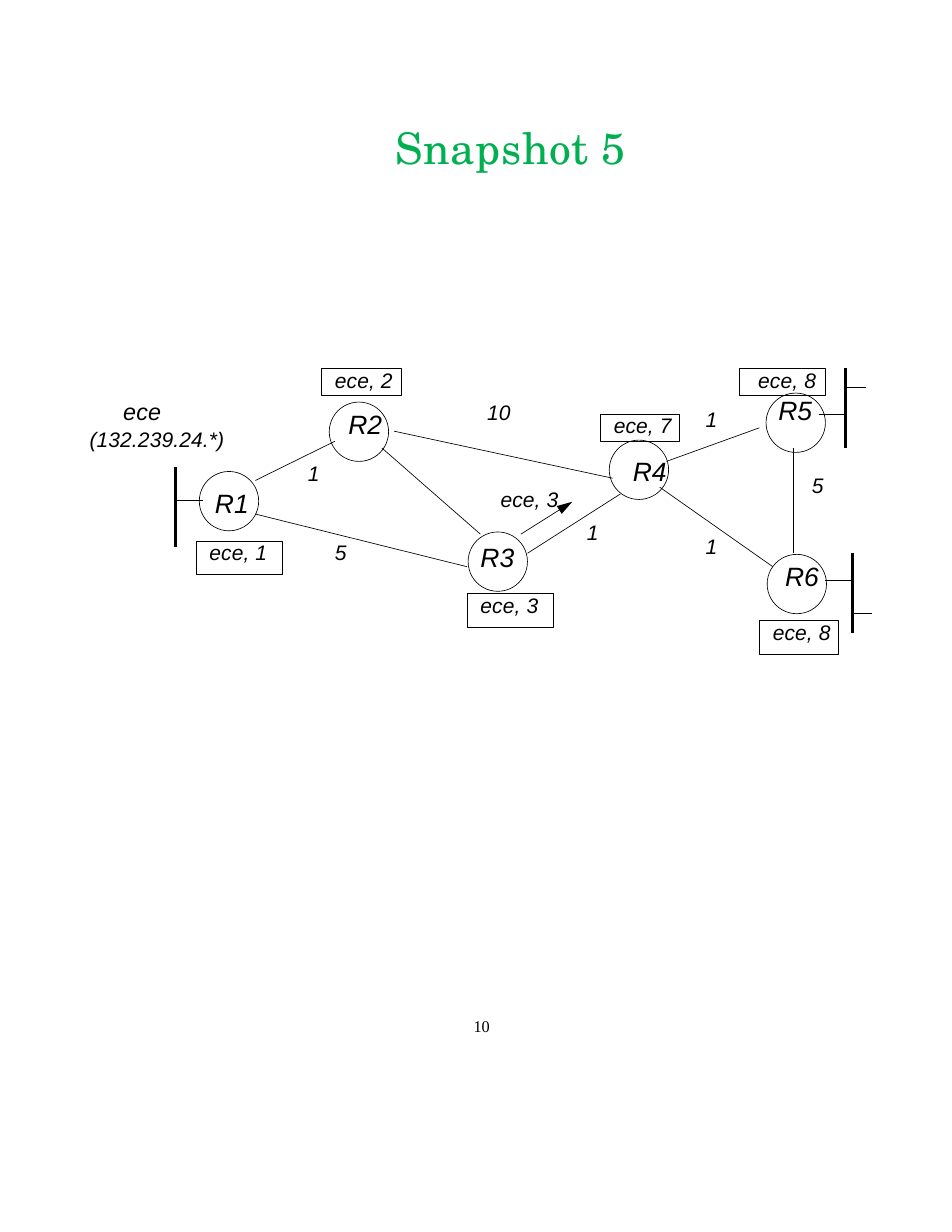
"""Build a slide showing the fifth snapshot of route distribution among six routers."""
from dataclasses import dataclass

from lxml import etree
from pptx import Presentation
from pptx import util as u
from pptx.dml.color import RGBColor
from pptx.enum import shapes, text
from pptx.oxml import ns

BLACK = RGBColor(0x00, 0x00, 0x00)
GREEN = RGBColor(0x00, 0xB0, 0x50)
THIN, THICK = 0.43, 1.71
DIAMETER = 0.53


@dataclass(frozen=True)
class Style:
    size: float
    font: str = "Arial"
    color: RGBColor = BLACK
    italic: bool = True
    spacing: float = 0


@dataclass(frozen=True)
class Router:
    name: str
    left: float
    top: float
    name_left: float
    name_top: float


@dataclass(frozen=True)
class Route:
    entry: str
    left: float
    top: float
    width: float
    height: float
    indent: float = 0.12


@dataclass(frozen=True)
class Line:
    x1: float
    y1: float
    x2: float
    y2: float
    weight: float = THIN
    arrow: bool = False


@dataclass(frozen=True)
class Label:
    words: str
    left: float
    top: float
    width: float
    height: float = 0.24


NAME = Style(17)
VALUE = Style(13.5, spacing=0.1)
NETWORK = Style(15, spacing=0.1)
TITLE = Style(28, "TeX Gyre Schola", GREEN, False, 0.5)
PAGE = Style(10.5, "Times New Roman", italic=False, spacing=-0.1)

ROUTERS = [
    Router("R1", 1.78, 4.21, 1.91, 4.35),
    Router("R2", 2.94, 3.59, 3.10, 3.64),
    Router("R3", 4.18, 4.75, 4.28, 4.83),
    Router("R4", 5.44, 3.93, 5.64, 4.06),
    Router("R5", 6.84, 3.51, 6.94, 3.52),
    Router("R6", 6.85, 4.95, 7.00, 5.00),
]
ROUTES = [
    Route("ece, 1", 1.75, 4.83, 0.77, 0.30),
    Route("ece, 2", 2.87, 3.29, 0.71, 0.24),
    Route("ece, 3", 4.17, 5.30, 0.77, 0.30),
    Route("ece, 7", 5.36, 3.70, 0.71, 0.24),
    Route("ece, 8", 6.60, 3.29, 0.77, 0.24, 0.17),
    Route("ece, 8", 6.78, 5.54, 0.71, 0.30),
]
LINKS = [
    Line(2.28, 4.29, 2.99, 3.94),
    Line(2.28, 4.59, 4.17, 5.06),
    Line(3.41, 4.00, 4.29, 4.77),
    Line(3.52, 3.85, 5.47, 4.27),
    Line(4.71, 4.94, 5.54, 4.41),
    Line(5.95, 4.12, 6.78, 3.82),
    Line(5.89, 4.35, 6.90, 5.06),
    Line(7.08, 4.00, 7.08, 4.94),
]
LANS = [
    Line(1.57, 4.17, 1.57, 4.88, THICK),
    Line(1.57, 4.47, 1.81, 4.47),
    Line(7.55, 3.29, 7.55, 4.00, THICK),
    Line(7.31, 3.70, 7.55, 3.70),
    Line(7.55, 3.46, 7.73, 3.46),
    Line(7.61, 4.94, 7.61, 5.65, THICK),
    Line(7.37, 5.18, 7.61, 5.18),
    Line(7.61, 5.48, 7.79, 5.48),
]
ADVERTISEMENT = Line(4.65, 4.77, 5.11, 4.48, arrow=True)
LABELS = [
    Label("1", 2.74, 4.11, 0.13),
    Label("5", 2.98, 4.82, 0.13),
    Label("10", 4.34, 3.57, 0.24),
    Label("1", 5.23, 4.64, 0.13),
    Label("1", 6.29, 3.63, 0.13),
    Label("1", 6.29, 4.76, 0.13),
    Label("5", 7.24, 4.22, 0.13),
    Label("ece, 3", 4.46, 4.34, 0.54),
]


def format_paragraph(paragraph, style: Style) -> None:
    """Apply a style to every run of a paragraph."""
    for run in paragraph.runs:
        run.font.size = u.Pt(style.size)
        run.font.name = style.font
        run.font.italic = style.italic
        run.font.color.rgb = style.color
        if style.spacing:
            run.font._element.set("spc", str(round(style.spacing * 100)))


def write(shape, words: str, style: Style, indent: float = 0.01):
    """Fill a shape with top-left text and return its text frame."""
    frame = shape.text_frame
    frame.word_wrap = True
    frame.vertical_anchor = text.MSO_ANCHOR.TOP
    frame.margin_left = u.Inches(indent)
    frame.margin_top = frame.margin_right = frame.margin_bottom = 0
    frame.text = words
    for paragraph in frame.paragraphs:
        paragraph.alignment = text.PP_ALIGN.LEFT
        format_paragraph(paragraph, style)
    return frame


def add_label(slide, label: Label, style: Style, indent: float = 0.01):
    """Add a text box and return its text frame."""
    box = slide.shapes.add_textbox(u.Inches(label.left), u.Inches(label.top),
                                   u.Inches(label.width), u.Inches(label.height))
    return write(box, label.words, style, indent)


def add_outline(slide, kind, left: float, top: float, width: float, height: float):
    """Add an unfilled shape with a thin black line."""
    outline = slide.shapes.add_shape(kind, u.Inches(left), u.Inches(top),
                                     u.Inches(width), u.Inches(height))
    outline.shadow.inherit = False
    outline.fill.background()
    outline.line.color.rgb = BLACK
    outline.line.width = u.Pt(THIN)
    return outline


def add_line(slide, line: Line) -> None:
    """Add a straight black line, with an arrowhead where asked."""
    connector = slide.shapes.add_connector(
        shapes.MSO_CONNECTOR.STRAIGHT, u.Inches(line.x1), u.Inches(line.y1),
        u.Inches(line.x2), u.Inches(line.y2))
    connector.line.color.rgb = BLACK
    connector.line.width = u.Pt(line.weight)
    if line.arrow:
        etree.SubElement(connector.line._get_or_add_ln(), ns.qn("a:tailEnd"),
                         type="triangle", w="med", len="lg")
    etree.SubElement(connector._element.spPr, ns.qn("a:effectLst"))


def main() -> None:
    """Draw the network and save the deck."""
    deck = Presentation()
    deck.slide_width, deck.slide_height = u.Inches(8.5), u.Inches(11)
    slide = deck.slides.add_slide(deck.slide_layouts[6])

    title = add_label(slide, Label("Snapshot 5", 1.5, 1.08, 6.11, 0.47), TITLE)
    title.paragraphs[0].alignment = text.PP_ALIGN.CENTER

    for line in [*LINKS, *LANS, ADVERTISEMENT]:
        add_line(slide, line)
    for router in ROUTERS:
        add_outline(slide, shapes.MSO_SHAPE.OVAL, router.left, router.top, DIAMETER, DIAMETER)
        add_label(slide, Label(router.name, router.name_left, router.name_top, 0.33, 0.3), NAME)
    for route in ROUTES:
        box = add_outline(slide, shapes.MSO_SHAPE.RECTANGLE, route.left, route.top,
                          route.width, route.height)
        frame = write(box, route.entry, VALUE, route.indent)
        frame.paragraphs[0].line_spacing = u.Pt(15.3)
    for label in LABELS:
        add_label(slide, label, VALUE)

    network = add_label(slide, Label("ece\n(132.239.24.*)", 0.79, 3.55, 1.23, 0.5), VALUE)
    name, address = network.paragraphs
    format_paragraph(name, NETWORK)
    name._p.get_or_add_pPr().set("marL", str(u.Inches(0.3)))
    address.space_before = u.Pt(0.6)

    page = add_label(slide, Label("10", 4.2, 9.08, 0.2, 0.18), PAGE, 0.03)
    page.paragraphs[0].line_spacing = u.Pt(12.3)
    deck.save("out.pptx")


if __name__ == "__main__":
    main()
